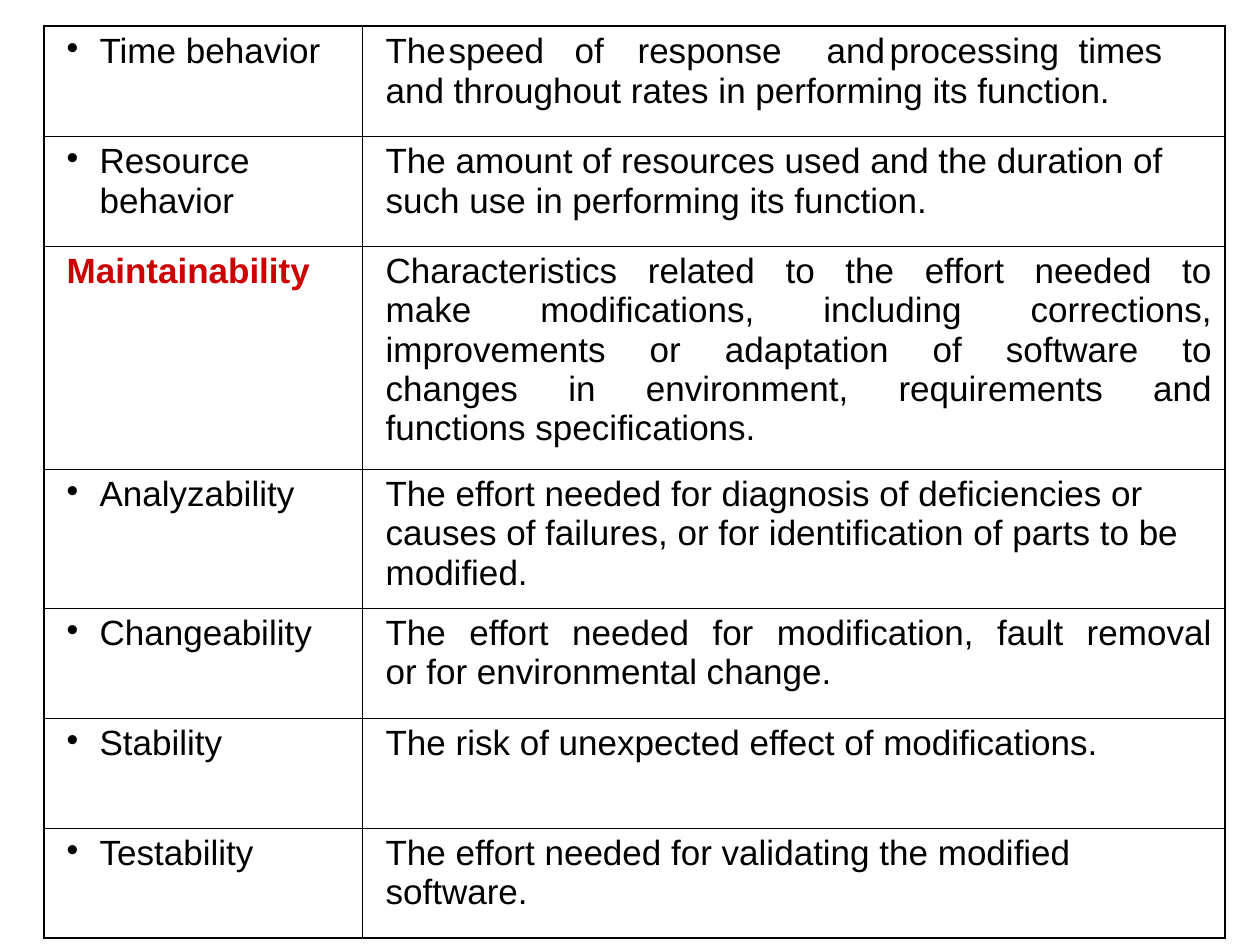
from lxml import etree
from pptx import Presentation
from pptx.dml.color import RGBColor
from pptx.enum.text import PP_ALIGN
from pptx.oxml.ns import qn
from pptx.util import Pt

LEFT, JUSTIFY = PP_ALIGN.LEFT, PP_ALIGN.JUSTIFY
BLACK = RGBColor(0x00, 0x00, 0x00)
RED = RGBColor(0xCC, 0x00, 0x00)
PX = 914400 / 126
FONT, FONT_SIZE = "Arial", 20
THIN, THICK = 0.45, 1.08

TABLE_LEFT, TABLE_TOP = 44, 26
COLUMN_WIDTHS = (318, 863)
TITLE_INDENT, BULLET_INDENT, BULLET_HANG, TEXT_INDENT = 10, 43, -33, 11
SPEED_TABS = (92, 204, 256, 412, 490, 669, 770)

ROWS = [
    (110, "Time behavior", LEFT,
     "The\tspeed\tof\tresponse\tand\tprocessing\ttimes\tand throughout rates in performing its function."),
    (110, "Resource behavior", LEFT,
     "The amount of resources used and the duration of such use in performing its function."),
    (223, "Maintainability", JUSTIFY,
     "Characteristics related to the effort needed to\vmake modifications, including corrections,\v"
     "improvements or adaptation of software to\vchanges in environment, requirements and\v"
     "functions specifications."),
    (139, "Analyzability", LEFT,
     "The effort needed for diagnosis of deficiencies or causes of failures, "
     "or for identification of parts to be modified."),
    (110, "Changeability", JUSTIFY,
     "The effort needed for modification, fault removal\vor for environmental change."),
    (110, "Stability", LEFT, "The risk of unexpected effect of modifications."),
    (110, "Testability", LEFT, "The effort needed for validating the modified software."),
]
HEADING = "Maintainability"


def px(value):
    return round(value * PX)


def set_borders(cell, widths):
    properties = cell._tc.get_or_add_tcPr()
    for position, (side, width) in enumerate(widths.items()):
        line = etree.Element(qn(f"a:ln{side}"), w=str(Pt(width)))
        fill = etree.SubElement(line, qn("a:solidFill"))
        etree.SubElement(fill, qn("a:srgbClr"), val=str(BLACK))
        properties.insert(position, line)


def set_indent(paragraph, margin, hang=0, bullet=None, tabs=()):
    properties = paragraph._p.get_or_add_pPr()
    properties.set("marL", str(px(margin)))
    properties.set("indent", str(px(hang)))
    if bullet:
        color = etree.SubElement(properties, qn("a:buClr"))
        etree.SubElement(color, qn("a:srgbClr"), val=str(BLACK))
        etree.SubElement(properties, qn("a:buChar"), char=bullet)
    if tabs:
        tab_list = etree.SubElement(properties, qn("a:tabLst"))
        for tab in tabs:
            etree.SubElement(tab_list, qn("a:tab"), pos=str(px(tab)), algn="l")


def write(paragraph, text, color=BLACK, bold=False):
    paragraph.text = text
    for font in [paragraph.font] + [run.font for run in paragraph.runs]:
        font.name, font.size, font.bold = FONT, Pt(FONT_SIZE), bold
        font.color.rgb = color


def main():
    presentation = Presentation()
    presentation.slide_width, presentation.slide_height = px(1260), px(945)
    slide = presentation.slides.add_slide(presentation.slide_layouts[6])
    heights = [row[0] for row in ROWS]
    table = slide.shapes.add_table(
        len(ROWS), len(COLUMN_WIDTHS), px(TABLE_LEFT), px(TABLE_TOP),
        px(sum(COLUMN_WIDTHS)), px(sum(heights))).table
    table.first_row = table.horz_banding = False
    for column, width in zip(table.columns, COLUMN_WIDTHS):
        column.width = px(width)

    last = len(ROWS) - 1
    for index, (height, name, alignment, description) in enumerate(ROWS):
        table.rows[index].height = px(height)
        name_cell, description_cell = table.cell(index, 0), table.cell(index, 1)
        for cell in (name_cell, description_cell):
            cell.fill.background()
            set_borders(cell, {
                "L": THICK if cell is name_cell else THIN,
                "R": THIN if cell is name_cell else THICK,
                "T": THICK if index == 0 else THIN,
                "B": THICK if index == last else THIN,
            })

        paragraph = name_cell.text_frame.paragraphs[0]
        if name == HEADING:
            set_indent(paragraph, TITLE_INDENT)
            write(paragraph, name, RED, True)
        else:
            set_indent(paragraph, BULLET_INDENT, BULLET_HANG, "•")
            write(paragraph, name)

        paragraph = description_cell.text_frame.paragraphs[0]
        set_indent(paragraph, TEXT_INDENT, tabs=SPEED_TABS if "\t" in description else ())
        paragraph.alignment = alignment
        write(paragraph, description)

    presentation.save("out.pptx")


if __name__ == "__main__":
    main()
